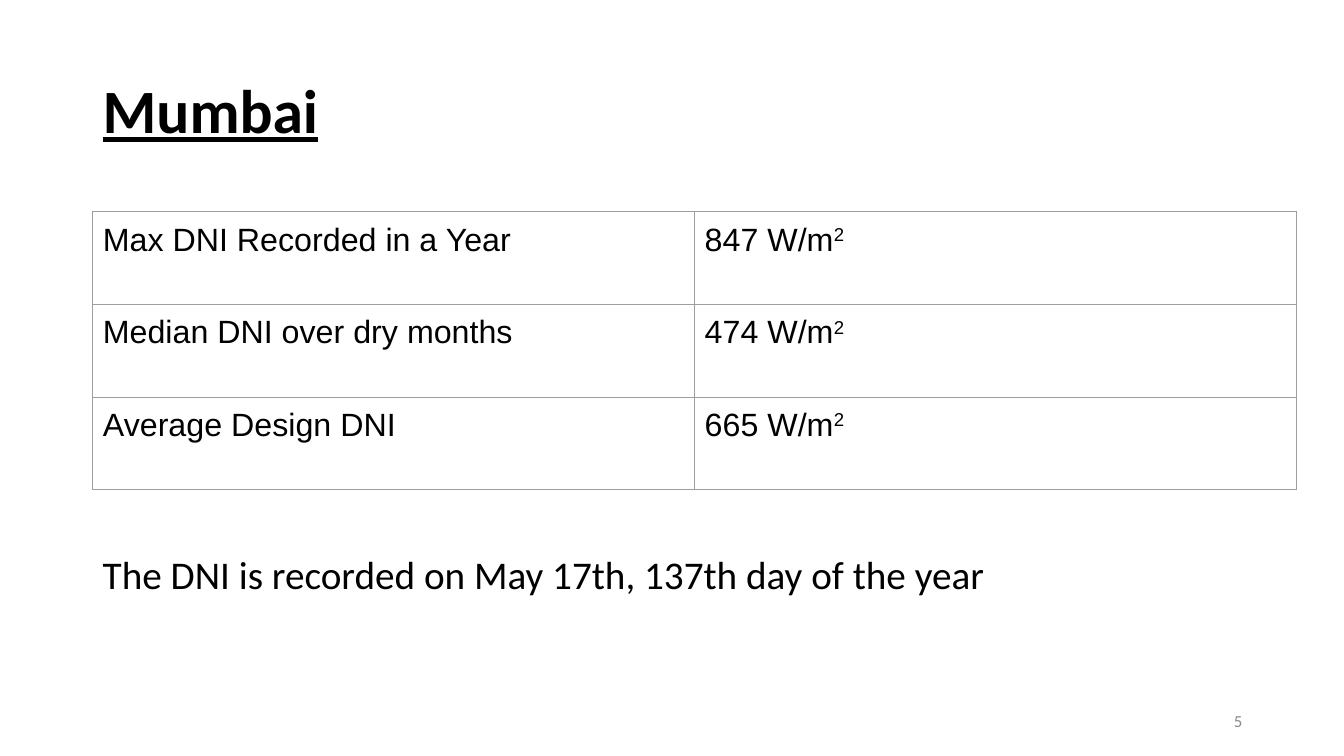
from lxml.etree import SubElement
from pptx import Presentation
from pptx.dml.color import RGBColor
from pptx.enum.text import MSO_ANCHOR, PP_ALIGN
from pptx.oxml.ns import qn
from pptx.util import Inches, Pt

READINGS = [
    ("Max DNI Recorded in a Year", "847 W/m"),
    ("Median DNI over dry months", "474 W/m"),
    ("Average Design DNI", "665 W/m"),
]


def color(value):
    """Return the colour of a hex string."""
    return RGBColor.from_string(value)


def add_run(p, text, fill="000000", **formats):
    """Add a run with the given font formats."""
    r = p.add_run()
    r.text = text
    r.font.color.rgb = color(fill)
    for name, value in formats.items():
        setattr(r.font, name, value)
    return r


def set_margins(target, side, top):
    """Set the side and the vertical margins of a frame or cell."""
    margins = {"margin_left": side, "margin_right": side,
               "margin_top": top, "margin_bottom": top}
    for name, value in margins.items():
        setattr(target, name, Inches(value))


def add_text(s, box, text, inset, anchor=MSO_ANCHOR.TOP, align=PP_ALIGN.LEFT,
             spacing=1.0, **formats):
    """Place one line of text in a box."""
    tf = s.shapes.add_textbox(*map(Inches, box)).text_frame
    tf.word_wrap = True
    tf.vertical_anchor = anchor
    set_margins(tf, 0.1, inset)
    p = tf.paragraphs[0]
    p.alignment = align
    p.line_spacing = spacing
    add_run(p, text, name="Calibri", **formats)


def add_borders(cell, fill, width):
    """Draw a solid line on the four sides of a cell."""
    tcPr = cell._tc.get_or_add_tcPr()
    for i, side in enumerate(("a:lnL", "a:lnR", "a:lnT", "a:lnB")):
        ln = tcPr.makeelement(qn(side), {"w": str(Pt(width))})
        solid = SubElement(ln, qn("a:solidFill"))
        SubElement(solid, qn("a:srgbClr"), val=fill)
        tcPr.insert(i, ln)


def add_readings(s, box, rows):
    """Place the table of labels and values in a box."""
    table = s.shapes.add_table(len(rows), 2, *map(Inches, box)).table
    table.first_row = table.horz_banding = False
    font = {"name": "Arial", "size": Pt(23)}
    for i, row in enumerate(rows):
        for j, text in enumerate(row):
            cell = table.cell(i, j)
            cell.fill.background()
            set_margins(cell, 0.1, 0.1)
            add_borders(cell, "9E9E9E", 0.75)
            p = cell.text_frame.paragraphs[0]
            add_run(p, text, **font)
            if j == 1:
                r = add_run(p, "2", **font)
                r.font._element.set("baseline", "30000")


def main():
    """Build the slide and save it."""
    prs = Presentation()
    prs.slide_width, prs.slide_height = Inches(13.33), Inches(7.5)
    s = prs.slides.add_slide(prs.slide_layouts[6])
    add_text(s, (0.92, 0.4, 11.5, 1.45), "Mumbai", 0.05, MSO_ANCHOR.MIDDLE,
             spacing=0.9, size=Pt(44), bold=True, underline=True)
    add_readings(s, (0.92, 2.1, 11.94, 2.76), READINGS)
    add_text(s, (0.92, 5.36, 11.11, 0.87),
             "The DNI is recorded on May 17th, 137th day of the year", 0.1, size=Pt(28))
    add_text(s, (9.42, 6.95, 3, 0.4), "5", 0.05, MSO_ANCHOR.MIDDLE, PP_ALIGN.RIGHT,
             size=Pt(12), fill="888888")
    prs.save("out.pptx")


if __name__ == "__main__":
    main()
